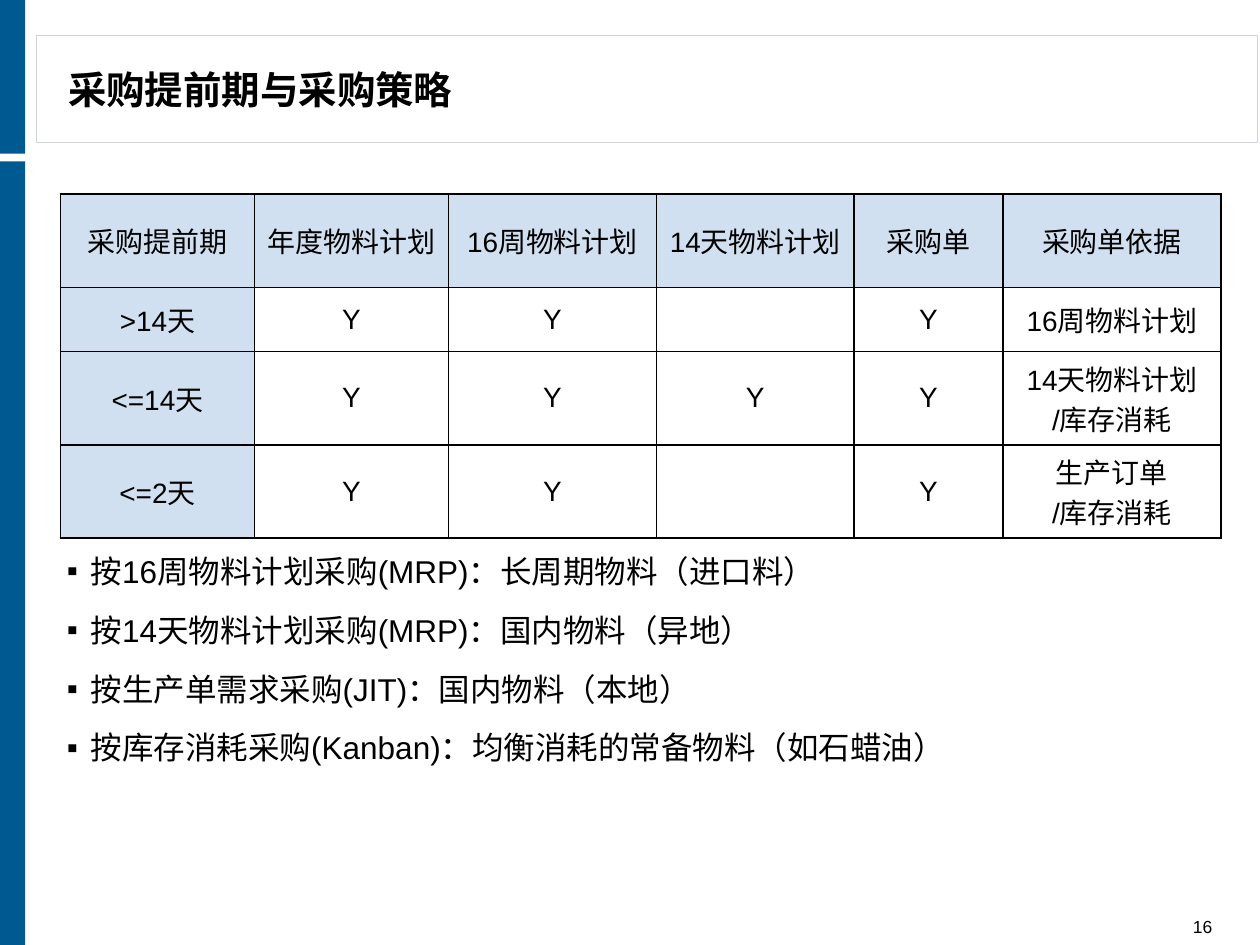
import pptx
import pptx.dml.color
import pptx.enum.shapes
import pptx.enum.text
import pptx.oxml
import pptx.oxml.ns
import pptx.util
from pptx.util import Inches

FONT = "Arial"
BLACK, WHITE = "000000", "FFFFFF"
BRAND_BLUE, LABEL_BLUE, PANEL_GREY = "005A92", "D1E0F0", "D0D3DA"
ALIGN = pptx.enum.text.PP_ALIGN
ANCHOR = pptx.enum.text.MSO_ANCHOR

TITLE = "采购提前期与采购策略"
TABLE_ROWS = [
    ["采购提前期", "年度物料计划", "16周物料计划", "14天物料计划", "采购单", "采购单依据"],
    [">14天", "Y", "Y", "", "Y", "16周物料计划"],
    ["<=14天", "Y", "Y", "Y", "Y", "14天物料计划\n/库存消耗"],
    ["<=2天", "Y", "Y", "", "Y", "生产订单\n/库存消耗"],
]
COLUMN_WIDTHS = [1.54, 1.54, 1.65, 1.57, 1.18, 1.73]
STRATEGIES = [
    "按16周物料计划采购(MRP)：长周期物料（进口料）",
    "按14天物料计划采购(MRP)：国内物料（异地）",
    "按生产单需求采购(JIT)：国内物料（本地）",
    "按库存消耗采购(Kanban)：均衡消耗的常备物料（如石蜡油）",
]


def color(value):
    return pptx.dml.color.RGBColor.from_string(value)


def paint(fill, value):
    fill.solid()
    fill.fore_color.rgb = color(value)


def format_paragraph(paragraph, size, alignment, bold=False):
    paragraph.alignment = alignment
    paragraph.font.name = FONT
    paragraph.font.size = pptx.util.Pt(size)
    paragraph.font.bold = bold
    paragraph.font.color.rgb = color(BLACK)


def prepare_frame(shape, text, anchor):
    frame = shape.text_frame
    frame.text = text
    frame.word_wrap = True
    frame.auto_size = pptx.enum.text.MSO_AUTO_SIZE.NONE
    frame.vertical_anchor = anchor
    frame.margin_left = frame.margin_right = Inches(0.1)
    frame.margin_top = frame.margin_bottom = 0
    return frame


def place(shape, box):
    shape.left, shape.top, shape.width, shape.height = map(Inches, box)
    shape.element.getparent().append(shape.element)


def add_block(slide, box, fill, line=None):
    shape = slide.shapes.add_shape(
        pptx.enum.shapes.MSO_SHAPE.RECTANGLE, *map(Inches, box))
    shape.shadow.inherit = False
    paint(shape.fill, fill)
    if line:
        shape.line.color.rgb = color(line)
        shape.line.width = pptx.util.Pt(0.75)
    else:
        shape.line.fill.background()


def add_side_bar(slide, box, split=1.22, gap=0.06):
    left, top, width, height = box
    lower_top = top + split + gap
    add_block(slide, (left, lower_top, width, top + height - lower_top), BRAND_BLUE)
    add_block(slide, (left, top, width, split), BRAND_BLUE)


def add_header(slide, box):
    left, top, width, height = box
    add_block(slide, box, WHITE, PANEL_GREY)
    title = slide.shapes.title
    place(title, (left + 0.15, top + 0.03, 6.3, height - 0.06))
    frame = prepare_frame(title, TITLE, ANCHOR.MIDDLE)
    format_paragraph(frame.paragraphs[0], 22, ALIGN.LEFT, bold=True)


def add_cell_borders(cell):
    properties = cell._tc.get_or_add_tcPr()
    for index, side in enumerate(("lnL", "lnR", "lnT", "lnB")):
        properties.insert(index, pptx.oxml.parse_xml(
            f'<a:{side} {pptx.oxml.ns.nsdecls("a")} w="12700"><a:solidFill>'
            f'<a:srgbClr val="{BLACK}"/></a:solidFill></a:{side}>'))


def add_lead_time_table(slide, box):
    table = slide.shapes.add_table(
        len(TABLE_ROWS), len(COLUMN_WIDTHS), *map(Inches, box)).table
    for column, width in zip(table.columns, COLUMN_WIDTHS):
        column.width = Inches(width)
    for row_index, row in enumerate(TABLE_ROWS):
        for column_index, text in enumerate(row):
            cell = table.cell(row_index, column_index)
            cell.text = text
            cell.vertical_anchor = ANCHOR.MIDDLE
            is_label = row_index == 0 or column_index == 0
            paint(cell.fill, LABEL_BLUE if is_label else WHITE)
            add_cell_borders(cell)
            for paragraph in cell.text_frame.paragraphs:
                format_paragraph(paragraph, 16, ALIGN.CENTER)


def add_strategy_list(slide, box):
    body = slide.placeholders[1]
    place(body, box)
    paint(body.fill, WHITE)
    frame = prepare_frame(body, "\n".join(STRATEGIES), ANCHOR.TOP)
    for paragraph in frame.paragraphs:
        format_paragraph(paragraph, 18, ALIGN.LEFT)
        paragraph.level = 1
        paragraph.space_before = paragraph.space_after = pptx.util.Pt(6)
        properties = paragraph._p.get_or_add_pPr()
        properties.set("marL", str(Inches(0.19)))
        properties.set("indent", str(Inches(-0.19)))
        bullet = pptx.oxml.parse_xml(
            f'<a:buChar {pptx.oxml.ns.nsdecls("a")} char="▪"/>')
        properties.find(pptx.oxml.ns.qn("a:defRPr")).addprevious(bullet)


def add_page_number(slide, box):
    shape = slide.shapes.add_textbox(*map(Inches, box))
    frame = prepare_frame(shape, "16", ANCHOR.BOTTOM)
    format_paragraph(frame.paragraphs[0], 10, ALIGN.RIGHT)


def main():
    presentation = pptx.Presentation()
    presentation.slide_width = Inches(10)
    presentation.slide_height = Inches(7.5)
    slide = presentation.slides.add_slide(presentation.slide_layouts[1])
    add_side_bar(slide, (0, 0, 0.2, 7.5))
    add_header(slide, (0.29, 0.28, 9.69, 0.85))
    add_lead_time_table(slide, (0.48, 1.54, sum(COLUMN_WIDTHS), 2.04))
    add_page_number(slide, (8.78, 7.26, 0.94, 0.18))
    add_strategy_list(slide, (0.43, 4.38, 9.29, 2.68))
    presentation.save("out.pptx")


if __name__ == "__main__":
    main()
